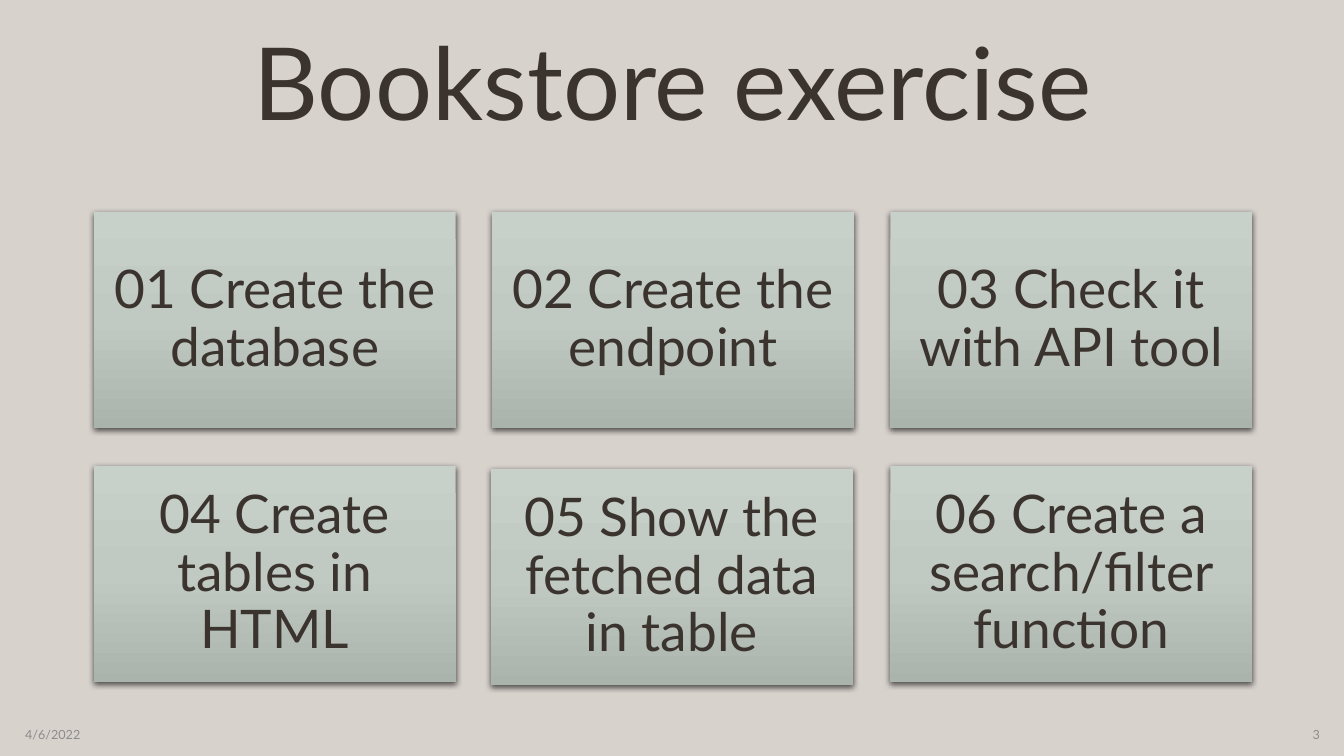
from copy import deepcopy

from lxml import etree
from pptx import Presentation
from pptx import util as u
from pptx.dml.color import RGBColor
from pptx.enum import shapes, text
from pptx.oxml import ns

SAND = RGBColor(0xD8, 0xD2, 0xCD)
BROWN = RGBColor(0x3B, 0x34, 0x2E)
GREY = RGBColor(0x8C, 0x8C, 0x8C)
SAGE = ((0, RGBColor(0xC8, 0xD0, 0xCA)),
        (0.5, RGBColor(0xC0, 0xC9, 0xC2)),
        (1, RGBColor(0xAA, 0xB4, 0xAC)))
LEFT, CENTER, RIGHT = text.PP_ALIGN.LEFT, text.PP_ALIGN.CENTER, text.PP_ALIGN.RIGHT

GRID_LEFT, GRID_TOP = 0.93, 2.1
COLUMN, ROW = 3.95, 2.52
CARD_WIDTH, CARD_HEIGHT = 3.59, 2.15
STEPS = (
    ("01 Create the database", 0, 0),
    ("02 Create the endpoint", 1, 0),
    ("03 Check it with API tool", 2, 0),
    ("04 Create tables in HTML", 0, 1),
    ("05 Show the fetched data in table", 0.997, 1.012),
    ("06 Create a search/filter function", 2, 1),
)


def write(frame, wording, size, color=BROWN, align=CENTER, spacing=None, inset=None):
    frame.word_wrap = True
    frame.auto_size = text.MSO_AUTO_SIZE.NONE
    frame.vertical_anchor = text.MSO_ANCHOR.MIDDLE
    if inset is not None:
        frame.margin_left = frame.margin_right = u.Inches(inset)
        frame.margin_top = frame.margin_bottom = u.Inches(inset)
    paragraph = frame.paragraphs[0]
    paragraph.alignment = align
    paragraph.line_spacing = spacing
    run = paragraph.add_run()
    run.text = wording
    run.font.name = "Lato"
    run.font.size = u.Pt(size)
    run.font.color.rgb = color


class Deck:
    def __init__(self):
        self.presentation = Presentation()
        self.presentation.slide_width = u.Inches(13.33)
        self.presentation.slide_height = u.Inches(7.5)
        self.slide = self.presentation.slides.add_slide(self.presentation.slide_layouts[5])
        background = self.slide.background.fill
        background.solid()
        background.fore_color.rgb = SAND

    def title(self, wording):
        heading = self.slide.shapes.title
        heading.left, heading.top = u.Inches(GRID_LEFT), u.Inches(0.13)
        heading.width, heading.height = u.Inches(11.48), u.Inches(1.48)
        write(heading.text_frame, wording, 72, spacing=0.9)

    def footer(self, wording, left, align):
        note = self.slide.shapes.add_textbox(
            u.Inches(left), u.Inches(7.09), u.Inches(3), u.Inches(0.4))
        write(note.text_frame, wording, 9, color=GREY, align=align)

    def card(self, wording, column, row):
        step = self.slide.shapes.add_shape(
            shapes.MSO_SHAPE.RECTANGLE,
            u.Inches(GRID_LEFT + column * COLUMN), u.Inches(GRID_TOP + row * ROW),
            u.Inches(CARD_WIDTH), u.Inches(CARD_HEIGHT))
        step.line.fill.background()
        self.shade(step)
        self.drop_shadow(step)
        write(step.text_frame, wording, 38, spacing=0.9, inset=0.16)

    def shade(self, step):
        step.fill.gradient()
        step.fill.gradient_angle = 270
        stops = step._element.spPr.find(".//" + ns.qn("a:gsLst"))
        stops.append(deepcopy(stops[0]))
        for stop, (position, color) in zip(step.fill.gradient_stops, SAGE):
            stop.position = position
            stop.color.rgb = color

    def drop_shadow(self, step):
        step.shadow.inherit = False
        effects = step._element.spPr.find(ns.qn("a:effectLst"))
        shadow = etree.SubElement(
            effects, ns.qn("a:outerShdw"), blurRad=str(u.Pt(4.5)), dist=str(u.Pt(1.5)),
            dir="5400000", algn="ctr", rotWithShape="0")
        black = etree.SubElement(shadow, ns.qn("a:srgbClr"), val="000000")
        etree.SubElement(black, ns.qn("a:alpha"), val="63000")


def main():
    deck = Deck()
    deck.footer("4/6/2022", 0.15, LEFT)
    deck.footer("3", 10.19, RIGHT)
    deck.title("Bookstore exercise")
    for wording, column, row in STEPS:
        deck.card(wording, column, row)
    deck.presentation.save("out.pptx")


if __name__ == "__main__":
    main()
